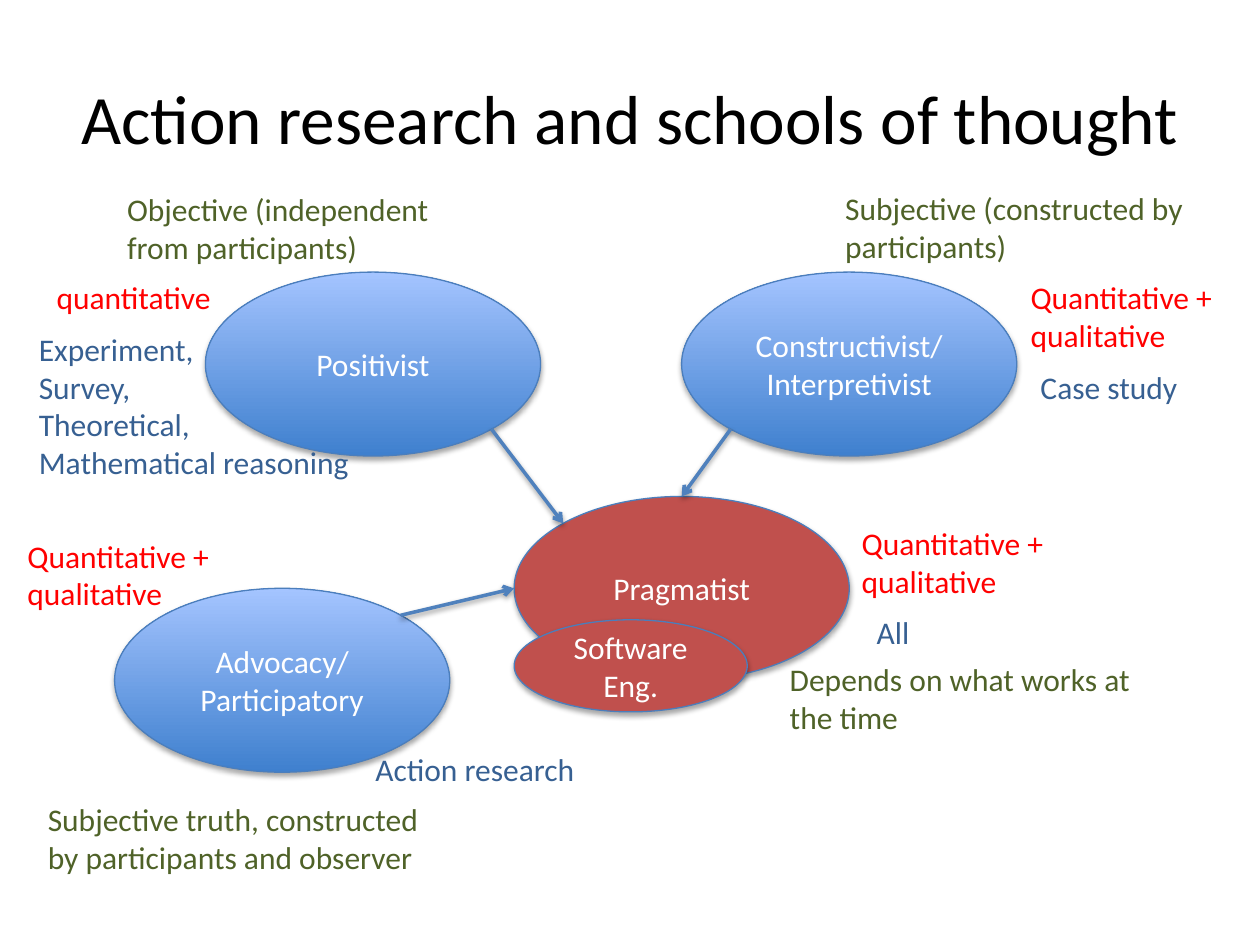
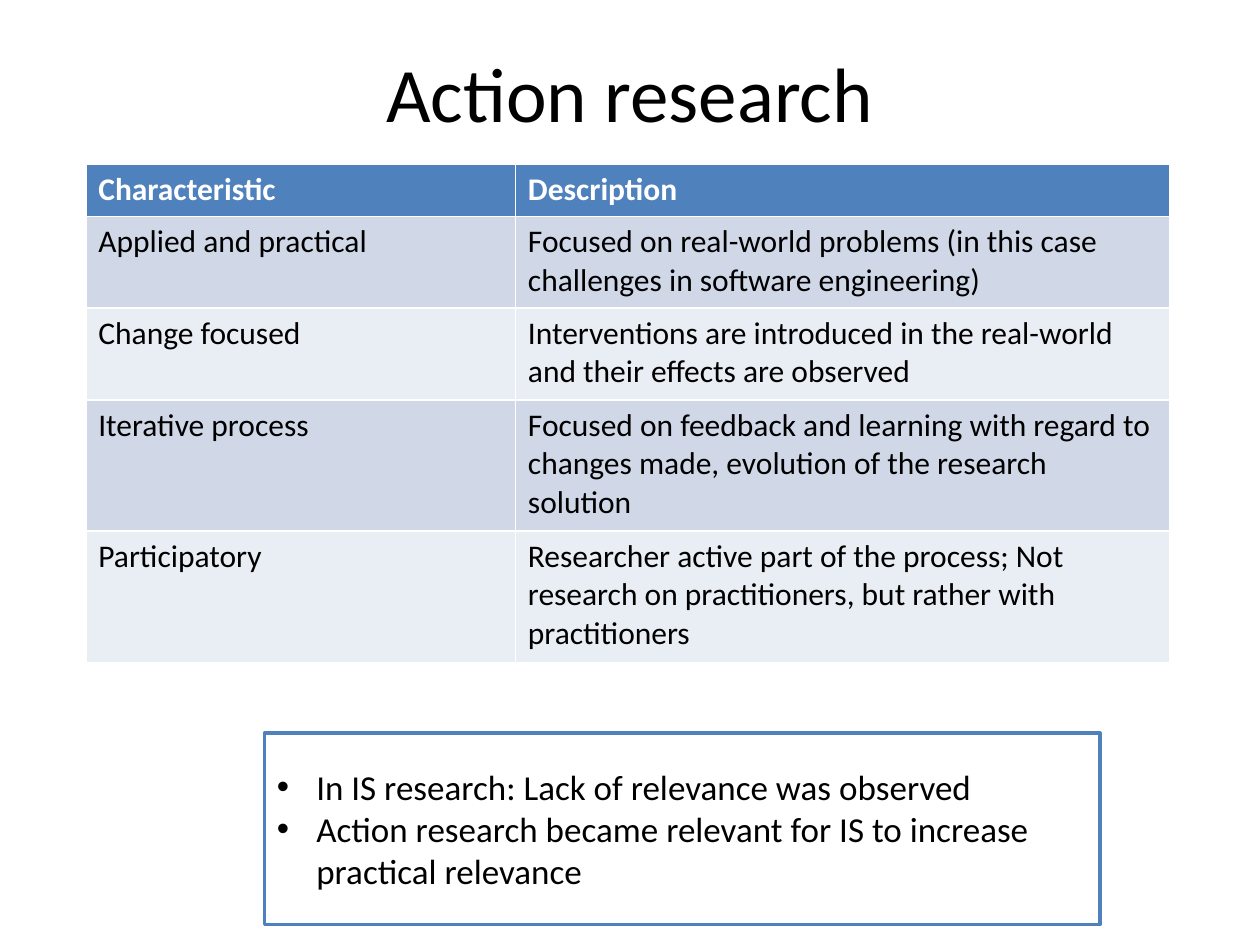
import math

from lxml import etree
from pptx import Presentation
from pptx.dml.color import RGBColor
from pptx.enum import shapes, text
from pptx.oxml import ns
from pptx.util import Pt

FONT = "Calibri"
WHITE, BLACK = RGBColor(255, 255, 255), RGBColor(0, 0, 0)
BLUE, EDGE = RGBColor(0x4F, 0x81, 0xBD), RGBColor(0x4B, 0x7E, 0xBC)
DEEP_BLUE, PALE_BLUE = RGBColor(0x3F, 0x80, 0xCE), RGBColor(0xA4, 0xC4, 0xFF)
RED_FILL = RGBColor(0xC0, 0x50, 0x4D)
TRUTH = RGBColor(0x4F, 0x62, 0x28)
DATA = RGBColor(0xFF, 0, 0)
METHOD = RGBColor(0x37, 0x60, 0x92)
BANDS = [RGBColor(0xD0, 0xD8, 0xE8), RGBColor(0xE9, 0xED, 0xF4)]

# Slide 1: schools of thought
SCHOOL_SIZE = (191.5, 105.1)
SCHOOLS = {  # name: (left, top, (width, height), red)
    "Positivist": (117.4, 155.5, SCHOOL_SIZE, False),
    "Constructivist/Interpretivist": (389.5, 155.5, SCHOOL_SIZE, False),
    "Advocacy/Participatory": (65.5, 336.2, SCHOOL_SIZE, False),
    "Pragmatist": (293.8, 283.7, SCHOOL_SIZE, True),
    "Software Eng.": (293.8, 354.2, (133.2, 52.6), True),
}
MIXED = ["Quantitative +", "qualitative"]
WRAPPED_LABELS = [  # left, top, width, text; each fills two lines
    (20.2, 453.6, 236.9, "Subjective truth, constructed by participants and observer"),
    (475.9, 104.4, 209.5, "Subjective (constructed by participants)"),
    (65.5, 105.1, 209.5, "Objective (independent from participants)"),
    (444.2, 373.7, 236.9, "Depends on what works at the time"),
]
LINE_LABELS = [  # left, top, width, lines, colour
    (25.2, 155.5, 104.4, ["quantitative"], DATA),
    (581.8, 155.5, 120.2, MIXED, DATA),
    (8.6, 303.1, 120.2, MIXED, DATA),
    (485.3, 295.9, 120.2, MIXED, DATA),
    (15.1, 185, 194.4,
     ["Experiment,", "Survey,", "Theoretical,", "Mathematical reasoning"], METHOD),
    (207.4, 424.8, 129.6, ["Action research"], METHOD),
    (587.5, 206.6, 93.6, ["Case study"], METHOD),
    (493.9, 347, 33.1, ["All"], METHOD),
]
ARROWS = [  # school, leaving angle, arrival angle at Pragmatist (clockwise from right)
    ("Advocacy/Participatory", 315, 180),
    ("Positivist", 45, 225),
    ("Constructivist/Interpretivist", 135, 270),
]

# Slide 2: characteristics
CHARACTERISTICS = [
    ("Characteristic", "Description"),
    ("Applied and practical",
     "Focused on real-world problems (in this case challenges in software engineering)"),
    ("Change focused",
     "Interventions are introduced in the real-world and their effects are observed"),
    ("Iterative process",
     "Focused on feedback and learning with regard to changes made, "
     "evolution of the research solution"),
    ("Participatory",
     "Researcher active part of the process; Not research on practitioners, "
     "but rather with practitioners"),
]
COLUMN_WIDTHS = [245.5, 374]
ROW_HEIGHTS = [30, 52.5, 52.5, 75, 75]
RELEVANCE = [
    "In IS research: Lack of relevance was observed",
    "Action research became relevant for IS to increase practical relevance",
]


def pts(*lengths):
    return [Pt(length) for length in lengths]


def add_xml(parent, tag, **attributes):
    return etree.SubElement(parent, ns.qn(tag), attributes)


def write(tf, lines, size, color, align=text.PP_ALIGN.LEFT, bold=False):
    for i, line in enumerate(lines):
        p = tf.paragraphs[0] if i == 0 else tf.add_paragraph()
        p.alignment = align
        r = p.add_run()
        r.text = line
        r.font.color.rgb = color
        for name, value in {"name": FONT, "size": Pt(size), "bold": bold}.items():
            setattr(r.font, name, value)


def set_line(sp, color, width):
    sp.line.color.rgb = color
    sp.line.width = Pt(width)


def cast_shadow(sp, distance, opacity):
    effects = add_xml(sp._element.spPr, "a:effectLst")
    shadow = add_xml(effects, "a:outerShdw", blurRad=str(Pt(3.1)), dist=str(Pt(distance)),
                     dir="5400000", rotWithShape="0")
    color = add_xml(shadow, "a:srgbClr", val="000000")
    add_xml(color, "a:alpha", val=str(opacity * 1000))


def add_titled_slide(prs, title, height, size):
    s = prs.slides.add_slide(prs.slide_layouts[5])
    sp = s.shapes.title
    for name, value in zip(("left", "top", "width", "height"), pts(36, 21.6, 648, height)):
        setattr(sp, name, value)
    sp.text_frame.vertical_anchor = text.MSO_ANCHOR.MIDDLE
    write(sp.text_frame, [title], size, BLACK, text.PP_ALIGN.CENTER)
    return s


def add_school(s, name):
    left, top, size, red = SCHOOLS[name]
    sp = s.shapes.add_shape(shapes.MSO_SHAPE.OVAL, *pts(left, top, *size))
    if red:
        sp.fill.solid()
        sp.fill.fore_color.rgb = RED_FILL
    else:
        sp.fill.gradient()
        sp.fill.gradient_angle = 90
        for stop, color in zip(sp.fill.gradient_stops, (DEEP_BLUE, PALE_BLUE)):
            stop.color.rgb = color
    set_line(sp, EDGE, 0.75)
    cast_shadow(sp, 1.8, 35)
    write(sp.text_frame, [name], 18, WHITE, text.PP_ALIGN.CENTER)
    return sp


def add_label(s, left, top, width, lines, color, wrap=False):
    rows = 2 if wrap else len(lines)
    sp = s.shapes.add_textbox(*pts(left, top, width, 7.2 + 21.8 * rows))
    sp.text_frame.word_wrap = wrap
    sp.text_frame.auto_size = text.MSO_AUTO_SIZE.SHAPE_TO_FIT_TEXT
    write(sp.text_frame, lines, 18, color)


def rim_point(sp, angle):
    """Return the point of an ellipse's outline at a clockwise angle."""
    a = math.radians(angle)
    return (round(sp.left + sp.width * (1 + math.cos(a)) / 2),
            round(sp.top + sp.height * (1 + math.sin(a)) / 2))


def add_arrow(s, source, leave, target, arrive):
    sp = s.shapes.add_connector(shapes.MSO_CONNECTOR.STRAIGHT,
                                *rim_point(source, leave), *rim_point(target, arrive))
    if arrive == 270:
        sp.end_connect(target, 0)
    set_line(sp, BLUE, 2)
    add_xml(sp.line._get_or_add_ln(), "a:tailEnd", type="arrow")
    cast_shadow(sp, 1.6, 38)


def build_schools(prs):
    s = add_titled_slide(prs, "Action research and schools of thought", 90, 39.6)
    ovals = {name: add_school(s, name) for name in SCHOOLS}
    for left, top, width, label in WRAPPED_LABELS:
        add_label(s, left, top, width, [label], TRUTH, wrap=True)
    for label in LINE_LABELS:
        add_label(s, *label)
    for school, leave, arrive in ARROWS:
        add_arrow(s, ovals[school], leave, ovals["Pragmatist"], arrive)


def add_characteristics(s):
    table = s.shapes.add_table(len(CHARACTERISTICS), len(COLUMN_WIDTHS),
                               *pts(49, 93.6, sum(COLUMN_WIDTHS), sum(ROW_HEIGHTS))).table
    for column, width in zip(table.columns, COLUMN_WIDTHS):
        column.width = Pt(width)
    for i, (row, height) in enumerate(zip(table.rows, ROW_HEIGHTS)):
        row.height = Pt(height)
        header = i == 0
        for cell, content in zip(row.cells, CHARACTERISTICS[i]):
            cell.fill.solid()
            cell.fill.fore_color.rgb = BLUE if header else BANDS[(i - 1) % 2]
            write(cell.text_frame, [content], 18, WHITE if header else BLACK, bold=header)


def add_relevance_box(s):
    sp = s.shapes.add_shape(shapes.MSO_SHAPE.RECTANGLE, *pts(151.2, 419, 477.4, 109.4))
    sp.shadow.inherit = False
    sp.fill.solid()
    sp.fill.fore_color.rgb = WHITE
    set_line(sp, BLUE, 2)
    write(sp.text_frame, RELEVANCE, 20, BLACK)
    for p in sp.text_frame.paragraphs:
        pPr = p._p.get_or_add_pPr()
        pPr.set("marL", str(Pt(22.5)))
        pPr.set("indent", str(-Pt(22.5)))
        add_xml(pPr, "a:buFont", typeface="Arial")
        add_xml(pPr, "a:buChar", char="•")


def build_characteristics(prs):
    s = add_titled_slide(prs, "Action research", 61.2, 44)
    add_characteristics(s)
    add_relevance_box(s)


def main():
    prs = Presentation()
    prs.slide_width, prs.slide_height = pts(720, 540)
    build_schools(prs)
    build_characteristics(prs)
    prs.save("out.pptx")


if __name__ == "__main__":
    main()
